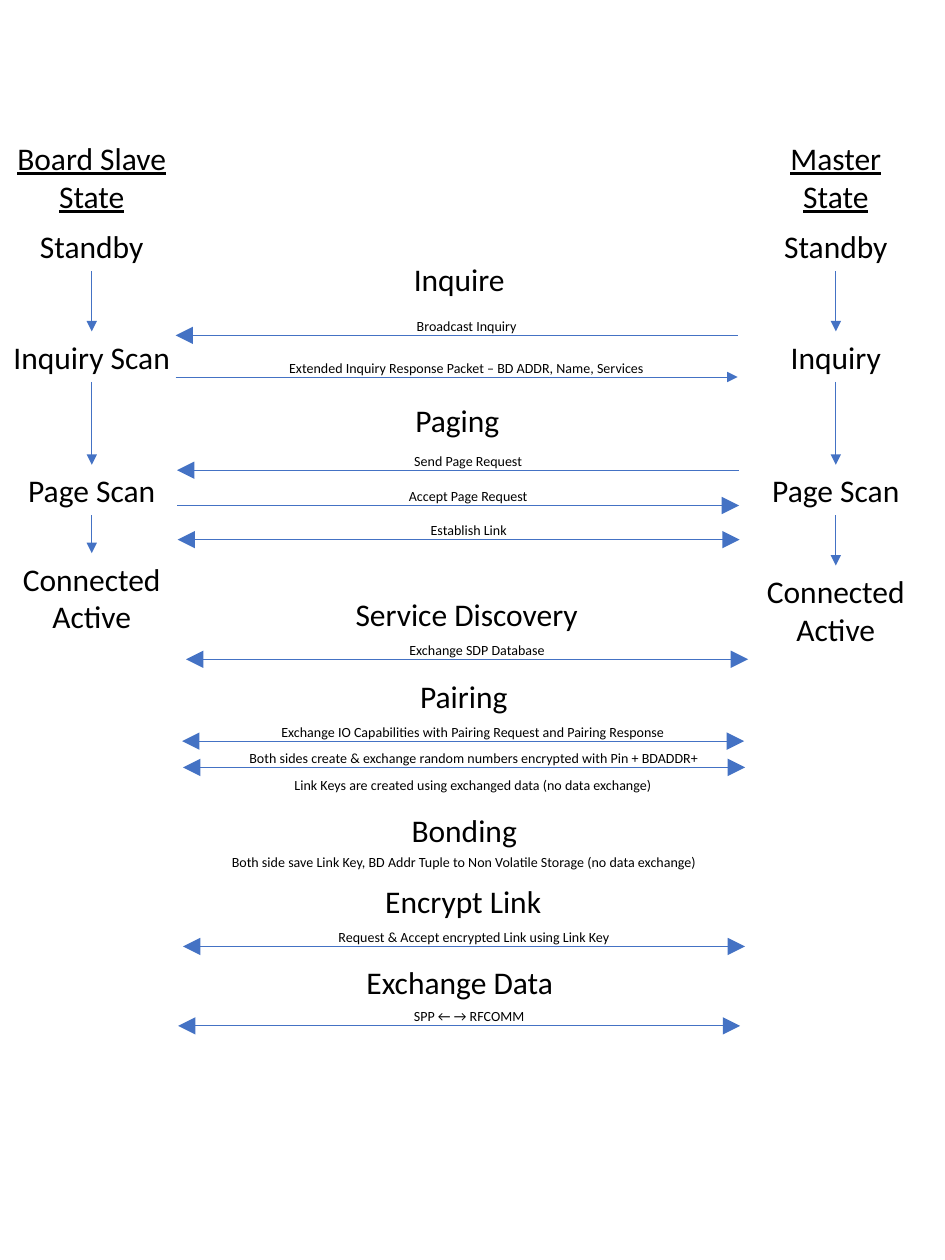
from dataclasses import dataclass
from enum import Enum
from itertools import pairwise

from lxml.etree import SubElement
from pptx import Presentation
from pptx.dml.color import RGBColor
from pptx.enum.shapes import MSO_CONNECTOR
from pptx.enum.text import MSO_AUTO_SIZE, PP_ALIGN
from pptx.oxml.ns import qn
from pptx.util import Cm, Pt

COLORS = {"text": "000000", "arrow": "4472C4"}
FONT = "Calibri"
LINE_HEIGHT = 0.78
HEADING_PADDING = 0.24
LABEL_WIDTH, LABEL_HEIGHT = 10.34, 0.71
ARROW_LENGTH = 11.33
ARROW_INDENT, ARROW_DROP = 0.7, 0.36  # arrow position relative to its label


class Direction(Enum):
    """Line ends that carry an arrowhead."""
    TO_SLAVE = ("headEnd",)
    TO_MASTER = ("tailEnd",)
    BOTH = ("headEnd", "tailEnd")
    NONE = ()


@dataclass
class State:
    name: str
    top: float
    width: float

    @property
    def height(self) -> float:
        return heading_height(self.name)


@dataclass
class Message:
    text: str
    left: float
    top: float
    direction: Direction = Direction.BOTH
    head_size: str = "lg"


@dataclass
class Phase:
    name: str
    center: float
    top: float
    width: float
    messages: list[Message]


# State columns: centre, underlined title, then the chain of states
COLUMNS = [
    (1.85, State("Board Slave\nState", 2.67, 3.78), [
        State("Standby", 4.45, 2.62),
        State("Inquiry Scan", 6.68, 3.71),
        State("Page Scan", 9.37, 3.1),
        State("Connected\nActive", 11.15, 3.33),
    ]),
    (16.85, State("Master\nState", 2.67, 2.36), [
        State("Standby", 4.45, 2.62),
        State("Inquiry", 6.68, 2.36),
        State("Page Scan", 9.37, 3.1),
        State("Connected\nActive", 11.4, 3.33),
    ]),
]

PHASES = [
    Phase("Inquire", 9.26, 5.11, 2.36, [
        Message("Broadcast Inquiry", 4.24, 6.4, Direction.TO_SLAVE),
        Message("Extended Inquiry Response Packet – BD ADDR, Name, Services",
                4.24, 7.24, Direction.TO_MASTER, "med"),
    ]),
    Phase("Paging", 9.22, 7.95, 2.24, [
        Message("Send Page Request", 4.27, 9.12, Direction.TO_SLAVE),
        Message("Accept Page Request", 4.27, 9.83, Direction.TO_MASTER),
        Message("Establish Link", 4.28, 10.52),
    ]),
    Phase("Service Discovery", 9.41, 11.86, 5.05, [
        Message("Exchange SDP Database", 4.45, 12.93),
    ]),
    Phase("Pairing", 9.35, 13.51, 2.29, [
        Message("Exchange IO Capabilities with Pairing Request and Pairing Response",
                4.37, 14.58),
        Message("Both sides create & exchange random numbers encrypted with Pin + BDADDR+",
                4.39, 15.11),
        Message("Link Keys are created using exchanged data (no data exchange)",
                4.37, 15.65, Direction.NONE),
    ]),
    Phase("Bonding", 9.36, 16.21, 2.67, [
        Message("Both side save Link Key, BD Addr Tuple to Non Volatile Storage (no data exchange)",
                4.19, 17.2, Direction.NONE),
    ]),
    Phase("Encrypt Link", 9.34, 17.65, 3.68, [
        Message("Request & Accept encrypted Link using Link Key", 4.39, 18.72),
    ]),
    Phase("Exchange Data", 9.27, 19.28, 4.32, [
        Message("SPP ← → RFCOMM", 4.29, 20.32),
    ]),
]


def heading_height(text: str) -> float:
    return HEADING_PADDING + LINE_HEIGHT * len(text.split("\n"))


def add_text(slide, text: str, left: float, top: float, width: float, height: float, *,
             size: float = 18, underline: bool = False, wrap: bool = False,
             margins: tuple[float, float] = (0.25, 0.13)) -> None:
    """Add centred text; margins are the horizontal and vertical insets."""
    box = slide.shapes.add_textbox(Cm(left), Cm(top), Cm(width), Cm(height))
    frame = box.text_frame
    frame.word_wrap = wrap
    frame.auto_size = MSO_AUTO_SIZE.NONE if wrap else MSO_AUTO_SIZE.SHAPE_TO_FIT_TEXT
    frame.margin_left = frame.margin_right = Cm(margins[0])
    frame.margin_top = frame.margin_bottom = Cm(margins[1])
    frame.text = text
    for paragraph in frame.paragraphs:
        paragraph.alignment = PP_ALIGN.CENTER
        for run in paragraph.runs:
            run.font.name = FONT
            run.font.size = Pt(size)
            run.font.underline = underline or None
            run.font.color.rgb = RGBColor.from_string(COLORS["text"])


def add_arrow(slide, start: tuple[float, float], end: tuple[float, float],
              direction: Direction, head_size: str = "med") -> None:
    arrow = slide.shapes.add_connector(
        MSO_CONNECTOR.STRAIGHT, *(Cm(value) for value in start + end))
    arrow.line.color.rgb = RGBColor.from_string(COLORS["arrow"])
    arrow.line.width = Pt(0.5)
    outline = arrow.line._get_or_add_ln()
    for line_end in direction.value:
        SubElement(outline, qn(f"a:{line_end}"), type="triangle", w=head_size, len=head_size)
    SubElement(arrow._element.spPr, qn("a:effectLst"))


def add_heading(slide, text: str, center: float, top: float, width: float,
                underline: bool = False) -> None:
    add_text(slide, text, center - width / 2, top, width, heading_height(text),
             underline=underline)


def draw_column(slide, center: float, title: State, states: list[State]) -> None:
    add_heading(slide, title.name, center, title.top, title.width, underline=True)
    for state in states:
        add_heading(slide, state.name, center, state.top, state.width)
    for current, following in pairwise(states):
        add_arrow(slide, (center, current.top + current.height),
                  (center, following.top), Direction.TO_MASTER)


def draw_phase(slide, phase: Phase) -> None:
    add_heading(slide, phase.name, phase.center, phase.top, phase.width)
    for message in phase.messages:
        if message.direction is not Direction.NONE:
            left, level = message.left - ARROW_INDENT, message.top + ARROW_DROP
            add_arrow(slide, (left, level), (left + ARROW_LENGTH, level),
                      message.direction, message.head_size)
        add_text(slide, message.text, message.left, message.top, LABEL_WIDTH, LABEL_HEIGHT,
                 size=8, wrap=True, margins=(0.13, 0))


def main() -> None:
    presentation = Presentation()
    presentation.slide_width, presentation.slide_height = Cm(19.05), Cm(25.4)
    slide = presentation.slides.add_slide(presentation.slide_layouts[6])

    # Slave and master state chains
    for center, title, states in COLUMNS:
        draw_column(slide, center, title, states)

    # Phases with the messages exchanged between both sides
    for phase in PHASES:
        draw_phase(slide, phase)

    presentation.save("out.pptx")


if __name__ == "__main__":
    main()
